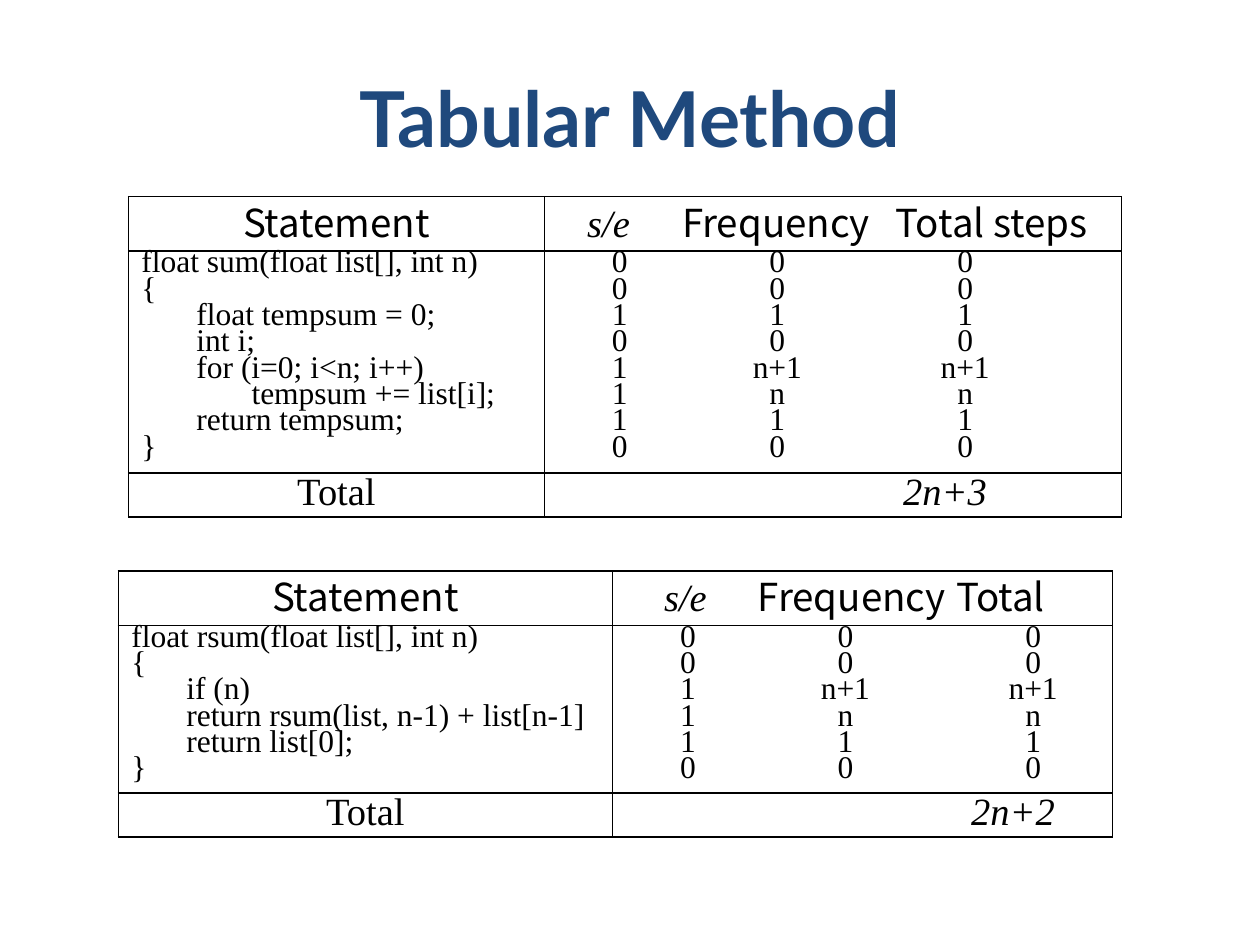
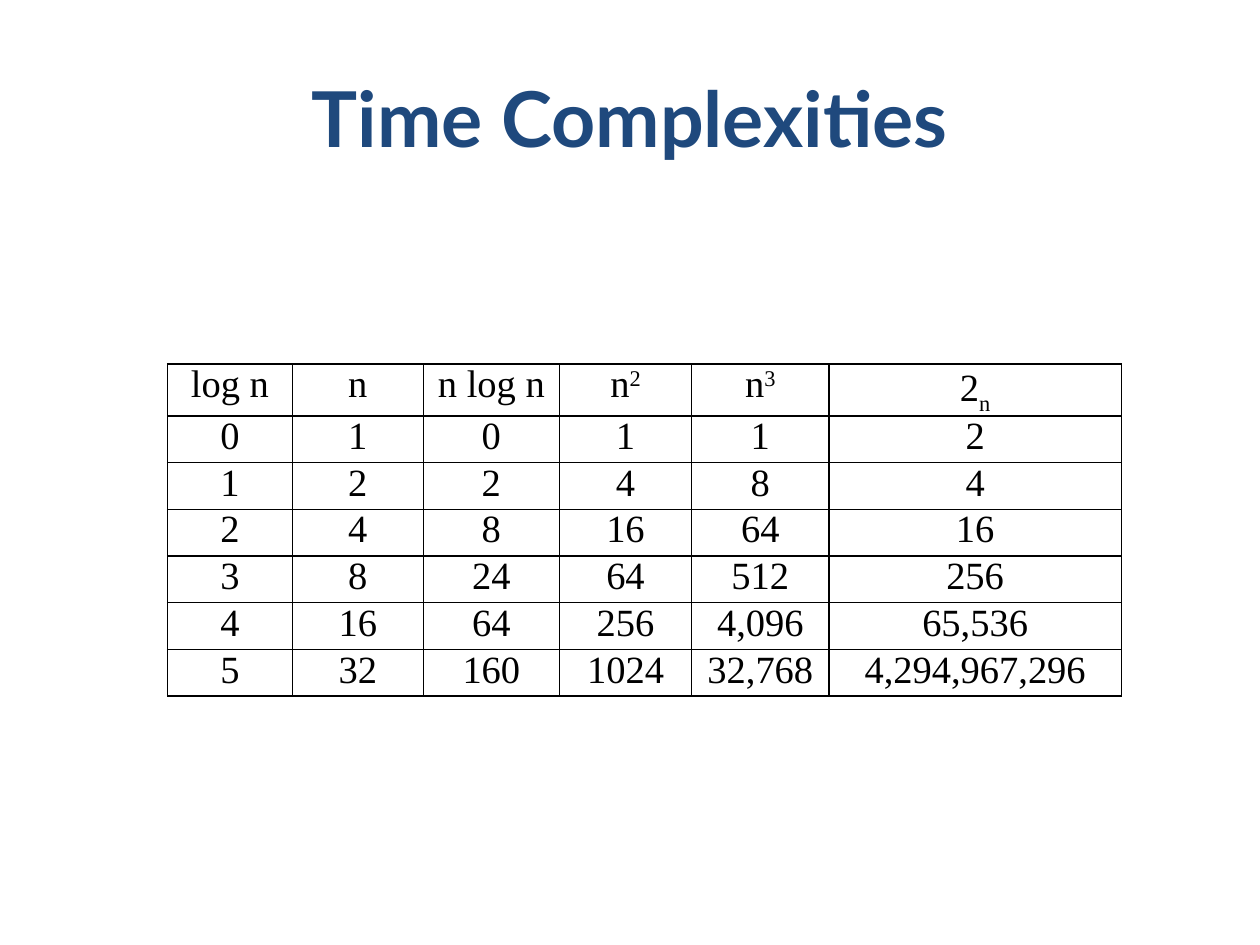
from dataclasses import dataclass
from typing import NamedTuple

from lxml import etree
from pptx import Presentation
from pptx import util as u
from pptx.dml.color import RGBColor
from pptx.enum import text
from pptx.oxml import ns


@dataclass(frozen=True)
class Theme:
    ink: RGBColor = RGBColor(0x00, 0x00, 0x00)
    heading: RGBColor = RGBColor(0x1F, 0x49, 0x7D)
    heading_face: str = "Lato"
    label_face: str = "Noto Sans CJK KR"
    serif: str = "Times New Roman"
    heading_size: u.Pt = u.Pt(44)
    cell_size: u.Pt = u.Pt(22)
    code_size: u.Pt = u.Pt(18)
    code_gap: u.Pt = u.Pt(3.1)
    border: u.Pt = u.Pt(1)
    cell_leading: float = 0.8
    code_leading: float = 0.6


THEME = Theme()
CENTER = text.PP_ALIGN.CENTER
LEFT = text.PP_ALIGN.LEFT


class Span(NamedTuple):
    text: str
    face: str | None = None
    italic: bool | None = None
    baseline: int = 0


@dataclass(frozen=True)
class Line:
    spans: tuple[Span, ...]
    face: str = THEME.serif
    size: u.Pt = THEME.cell_size
    leading: float = THEME.cell_leading
    align: text.PP_ALIGN = CENTER
    italic: bool = False
    tabs: tuple[float, ...] = ()


@dataclass(frozen=True)
class Grid:
    left: float
    top: float
    columns: tuple[float, ...]
    rows: tuple[float, ...]
    cells: list[list[list[Line]]]
    margins: tuple[float, float]


class StepCount(NamedTuple):
    left: float
    top: float
    columns: tuple[float, float]
    code_height: float
    labels: str
    label_tabs: tuple[float, ...]
    code: tuple[tuple[str, str], ...]
    total: str


COUNT_TABS = (0.56, 1.81, 3.3)
TOTAL_TAB = (3.14,)

STEP_COUNTS = (
    StepCount(
        1.02, 1.56, (3.3, 4.58), 1.76,
        "\tFrequency\tTotal steps", (0.47, 1.8, 3.51),
        (
            (" float sum(float list[], int n)", "0 0 0"),
            (" {", "0 0 0"),
            ("        float tempsum = 0;", "1 1 1"),
            ("        int i;", "0 0 0"),
            ("        for (i=0; i<n; i++)", "1 n+1 n+1"),
            ("               tempsum += list[i];", "1 n n"),
            ("        return tempsum;", "1 1 1"),
            (" }", "0 0 0"),
        ),
        "2n+3",
    ),
    StepCount(
        0.94, 4.53, (3.92, 3.97), 1.33,
        "\tFrequency\tTotal", (0.54, 1.86, 3.04),
        (
            (" float rsum(float list[], int n)", "0 0 0"),
            (" {", "0 0 0"),
            ("        if (n)", "1 n+1 n+1"),
            ("        return rsum(list, n-1) + list[n-1]", "1 n n"),
            ("        return list[0];", "1 1 1"),
            (" }", "0 0 0"),
        ),
        "2n+2",
    ),
)

GROWTH_HEADINGS = (
    (Span("log n"),),
    (Span("n"),),
    (Span("n log n"),),
    (Span("n"), Span("2", baseline=30000)),
    (Span("n"), Span("3", baseline=30000)),
    (Span("2"), Span("n", baseline=-25000)),
)
GROWTH_VALUES = (
    "0 1 0 1 1 2",
    "1 2 2 4 8 4",
    "2 4 8 16 64 16",
    "3 8 24 64 512 256",
    "4 16 64 256 4,096 65,536",
    "5 32 160 1024 32,768 4,294,967,296",
)


def add_page(deck, title: str):
    page = deck.slides.add_slide(deck.slide_layouts[5])
    box = page.shapes.title
    box.left, box.top = u.Inches(0.5), u.Inches(0.3)
    box.width, box.height = u.Inches(9), u.Inches(1.25)
    box.text_frame.vertical_anchor = text.MSO_ANCHOR.MIDDLE
    box.text_frame.text = title
    para = box.text_frame.paragraphs[0]
    para.alignment = CENTER
    para.font.name = THEME.heading_face
    para.font.size = THEME.heading_size
    para.font.bold = True
    para.font.color.rgb = THEME.heading
    return page


def add_tabs(para, stops: tuple[float, ...]) -> None:
    tab_list = etree.SubElement(para._p.get_or_add_pPr(), ns.qn("a:tabLst"))
    for stop in stops:
        etree.SubElement(tab_list, ns.qn("a:tab"), pos=str(u.Inches(stop)), algn="ctr")


def write_line(para, line: Line) -> None:
    if line.tabs:
        add_tabs(para, line.tabs)
    para.alignment = line.align
    para.line_spacing = line.leading
    para.font.name = line.face
    para.font.size = line.size
    para.font.italic = line.italic
    para.font.color.rgb = THEME.ink
    for span in line.spans:
        run = para.add_run()
        run.text = span.text
        if span.face:
            run.font.name = span.face
        if span.italic is not None:
            run.font.italic = span.italic
        if span.baseline:
            run._r.get_or_add_rPr().set("baseline", str(span.baseline))


def add_borders(cell) -> None:
    properties = cell._tc.get_or_add_tcPr()
    for position, side in enumerate(("lnL", "lnR", "lnT", "lnB")):
        edge = etree.Element(ns.qn(f"a:{side}"), w=str(THEME.border))
        fill = etree.SubElement(edge, ns.qn("a:solidFill"))
        etree.SubElement(fill, ns.qn("a:srgbClr"), val=str(THEME.ink))
        properties.insert(position, edge)


def fill_cell(cell, lines: list[Line], margins: tuple[float, float]) -> None:
    cell.margin_left = cell.margin_right = u.Inches(margins[0])
    cell.margin_top = cell.margin_bottom = u.Inches(margins[1])
    cell.fill.background()
    add_borders(cell)
    for index, line in enumerate(lines):
        frame = cell.text_frame
        para = frame.add_paragraph() if index else frame.paragraphs[0]
        if index:
            para.space_before = THEME.code_gap
        write_line(para, line)


def draw_grid(page, grid: Grid) -> None:
    table = page.shapes.add_table(
        len(grid.rows), len(grid.columns),
        u.Inches(grid.left), u.Inches(grid.top),
        u.Inches(sum(grid.columns)), u.Inches(sum(grid.rows)),
    ).table
    table.first_row = table.horz_banding = False
    for column, width in zip(table.columns, grid.columns):
        column.width = u.Inches(width)
    for row, height, row_cells in zip(table.rows, grid.rows, grid.cells):
        row.height = u.Inches(height)
        for cell, lines in zip(row.cells, row_cells):
            fill_cell(cell, lines, grid.margins)


def code_line(content: str, tabs: tuple[float, ...] = ()) -> Line:
    return Line((Span(content),), size=THEME.code_size,
                leading=THEME.code_leading, align=LEFT, tabs=tabs)


def step_grid(count: StepCount) -> Grid:
    labels = Line(
        (Span("\t"), Span("s/e", THEME.serif, True), Span(count.labels)),
        face=THEME.label_face, align=LEFT, tabs=count.label_tabs,
    )
    total = Line((Span("\t" + count.total),), align=LEFT, italic=True, tabs=TOTAL_TAB)
    cells = [
        [[Line((Span("Statement"),), face=THEME.label_face)], [labels]],
        [
            [code_line(statement) for statement, _ in count.code],
            [code_line("\t" + "\t".join(steps.split()), COUNT_TABS)
             for _, steps in count.code],
        ],
        [[Line((Span("Total"),))], [total]],
    ]
    return Grid(count.left, count.top, count.columns,
                (0.43, count.code_height, 0.35), cells, (0.04, 0.04))


def growth_grid() -> Grid:
    cells = [[[Line(spans)] for spans in GROWTH_HEADINGS]]
    cells += [[[Line((Span(value),))] for value in row.split()] for row in GROWTH_VALUES]
    return Grid(1.33, 2.89, (0.99, 1.04, 1.08, 1.05, 1.09, 2.32),
                (0.41,) + (0.37,) * len(GROWTH_VALUES), cells, (0.1, 0.05))


def main() -> None:
    deck = Presentation()
    deck.slide_width, deck.slide_height = u.Inches(10), u.Inches(7.5)
    page = add_page(deck, "Tabular Method")
    for count in STEP_COUNTS:
        draw_grid(page, step_grid(count))
    draw_grid(add_page(deck, "Time Complexities"), growth_grid())
    deck.save("out.pptx")


if __name__ == "__main__":
    main()
